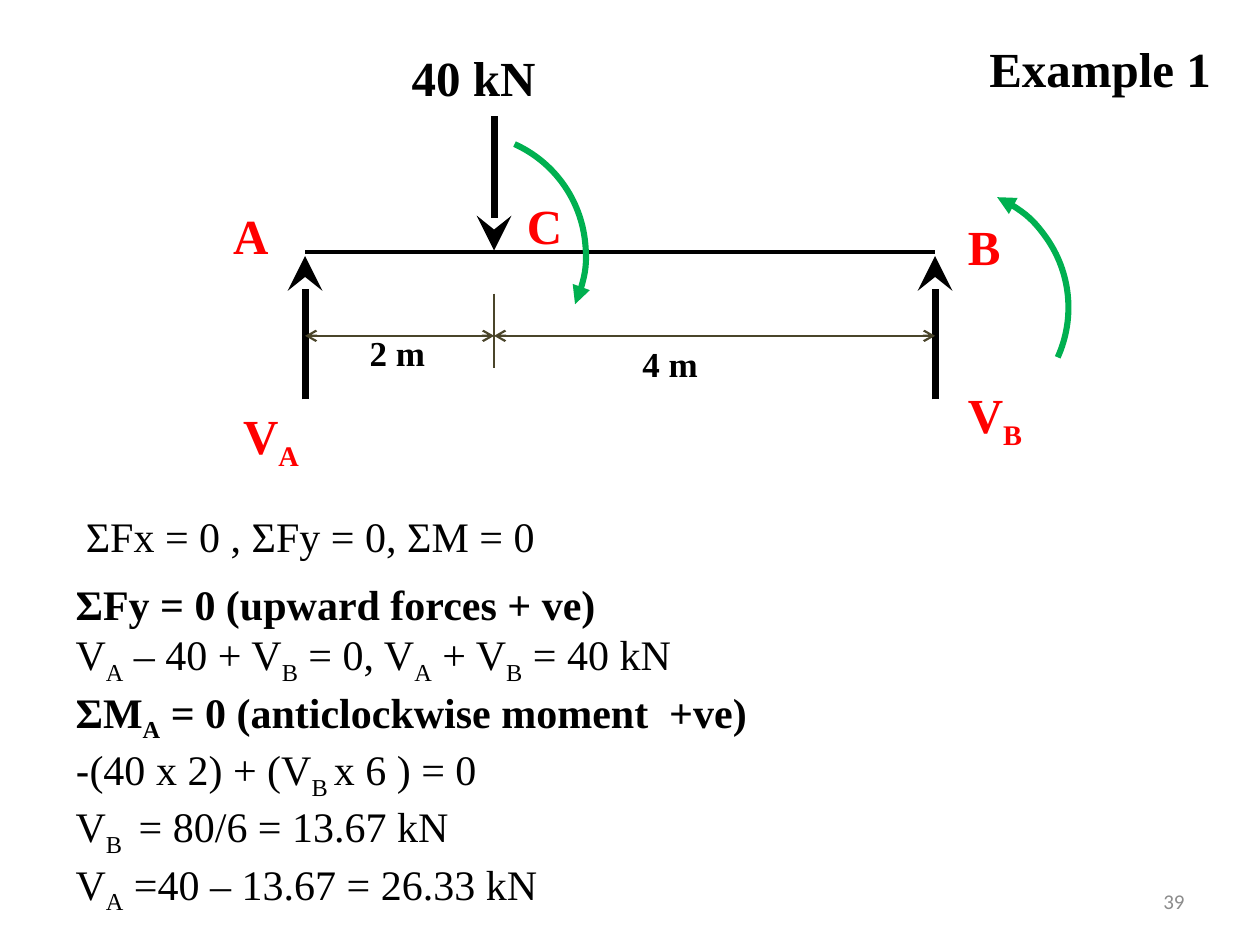
"""Build a beam reaction example with its load diagram and equations."""
from lxml.etree import SubElement
from pptx import Presentation
from pptx.dml.color import RGBColor
from pptx.enum.shapes import MSO_CONNECTOR, MSO_SHAPE
from pptx.enum.text import MSO_ANCHOR, MSO_AUTO_SIZE, PP_ALIGN
from pptx.oxml.ns import qn
from pptx.util import Cm, Pt

SERIF = "Times New Roman"
BLACK, RED, GREEN, OLIVE, GREY = "000000", "FF0000", "00B050", "4A452A", "8C8C8C"


def color(code):
    return RGBColor.from_string(code)


def write(para, text, size=24, bold=False, hue=BLACK, font=SERIF,
          align=PP_ALIGN.LEFT, dash=None):
    """Fill a paragraph; parts between bars are set as subscripts."""
    props = para._p.get_or_add_pPr()
    props.set("marL", "0")
    props.set("indent", "0")
    if dash:
        SubElement(props, qn("a:buFontTx"))
        SubElement(props, qn("a:buChar"), char=dash)
    else:
        SubElement(props, qn("a:buNone"))
    para.alignment = align
    para.space_before = Pt(0)
    for i, part in enumerate(text.split("|")):
        if part:
            run = para.add_run()
            run.text = part
            run.font.size, run.font.bold, run.font.name = Pt(size), bold, font
            run.font.color.rgb = color(hue)
            if i % 2:
                run.font._element.set("baseline", "-25000")


class Sheet:
    """Hold the slide and the style of its elements."""

    def __init__(self, deck):
        self.slide = deck.slides.add_slide(deck.slide_layouts[1])
        self.shapes = self.slide.shapes

    def place(self, shape, box, anchor):
        shape.left, shape.top, shape.width, shape.height = map(Cm, box)
        frame = shape.text_frame
        frame.word_wrap = True
        frame.auto_size = MSO_AUTO_SIZE.NONE
        frame.vertical_anchor = anchor
        return frame

    def title(self, text, box):
        frame = self.place(self.shapes.title, box, MSO_ANCHOR.TOP)
        write(frame.paragraphs[0], text, size=28, bold=True)

    def body(self, rows, box):
        frame = self.place(self.slide.placeholders[1], box, MSO_ANCHOR.MIDDLE)
        for i, (text, form) in enumerate(rows):
            para = frame.add_paragraph() if i else frame.paragraphs[0]
            write(para, text, **form)

    def label(self, text, box, anchor=MSO_ANCHOR.TOP, **form):
        shape = self.shapes.add_textbox(*map(Cm, box))
        frame = self.place(shape, box, anchor)
        write(frame.paragraphs[0], text, **form)

    def stroke(self, shape, hue, width, head, tail, size):
        shape.line.color.rgb = color(hue)
        shape.line.width = Pt(width)
        for tag, kind in (("a:headEnd", head), ("a:tailEnd", tail)):
            if kind:
                SubElement(shape.line._ln, qn(tag), type=kind, w=size, len=size)

    def line(self, start, end, hue=BLACK, width=2.25, head=None, tail=None,
             size="med"):
        shape = self.shapes.add_connector(
            MSO_CONNECTOR.STRAIGHT, *map(Cm, start + end))
        self.stroke(shape, hue, width, head, tail, size)
        SubElement(shape._element.spPr, qn("a:effectLst"))

    def force(self, start, end):
        self.line(start, end, width=4, tail="stealth", size="lg")

    def span(self, left, right, y):
        self.line((left, y), (right, y), OLIVE, 1.25, "arrow", "arrow")

    def arc(self, left, top, head=None, tail=None):
        shape = self.shapes.add_shape(
            MSO_SHAPE.ARC, Cm(left), Cm(top), Cm(4.88), Cm(4.88))
        shape.rotation = 24.3
        shape.shadow.inherit = False
        shape.fill.background()
        self.stroke(shape, GREEN, 3.5, head, tail, "med")


def main():
    deck = Presentation()
    deck.slide_width, deck.slide_height = Cm(25.4), Cm(19.05)
    sheet = Sheet(deck)
    left, load, right, beam = 6.15, 9.96, 18.85, 5.08

    sheet.title("Example 1", (19.69, 0.64, 5.08, 1.47))
    strong = {"bold": True}
    sheet.body([
        ("ΣFy = 0 (upward forces + ve)", strong),
        ("V|A| – 40 + V|B| = 0, V|A| + V|B| = 40 kN", {}),
        ("ΣM|A| = 0 (anticlockwise moment  +ve)", strong),
        ("(40 x 2) + (V|B |x 6 ) = 0", {"dash": "-"}),
        ("V|B | = 80/6 = 13.67 kN", {}),
        ("V|A| =40 – 13.67 = 26.33 kN", {}),
    ], (1.27, 11.86, 23.06, 6.4))

    sheet.line((left, beam), (right, beam))
    for x in (left, right):
        sheet.force((x, 8.05), (x, 5.16))
    sheet.force((load, 2.34), (load, 5.05))
    sheet.line((load, 5.92), (load, 7.42), OLIVE, 1.25)
    sheet.span(left, load, 6.77)
    sheet.span(load, right, 6.77)
    sheet.arc(6.93, 2.69, tail="triangle")
    sheet.arc(16.66, 3.76, head="triangle")

    for text, x, y, wide in (
            ("A", 4.45, 4.02, 1.27), ("B", 19.26, 4.24, 1.27),
            ("C", 10.37, 3.81, 1.27),
            ("V|A", 4.65, 8.05, 1.9), ("V|B", 19.26, 7.62, 1.9)):
        sheet.label(text, (x, y, wide, 1.45), size=28, bold=True, hue=RED)
    sheet.label("40 kN", (8.05, 0.84, 4.01, 1.45), size=28, bold=True)
    for text, x, y in (("2 m", 7.2, 6.55), ("4 m", 12.7, 6.77)):
        sheet.label(text, (x, y, 1.9, 1.12), size=20, bold=True)
    sheet.label("ΣFx = 0 , ΣFy = 0, ΣM = 0", (1.48, 10.16, 23.29, 1.27),
                MSO_ANCHOR.MIDDLE)
    sheet.label("39", (18.2, 17.65, 5.93, 1.02), MSO_ANCHOR.MIDDLE, size=12,
                hue=GREY, font="Calibri", align=PP_ALIGN.RIGHT)
    deck.save("out.pptx")


if __name__ == "__main__":
    main()
